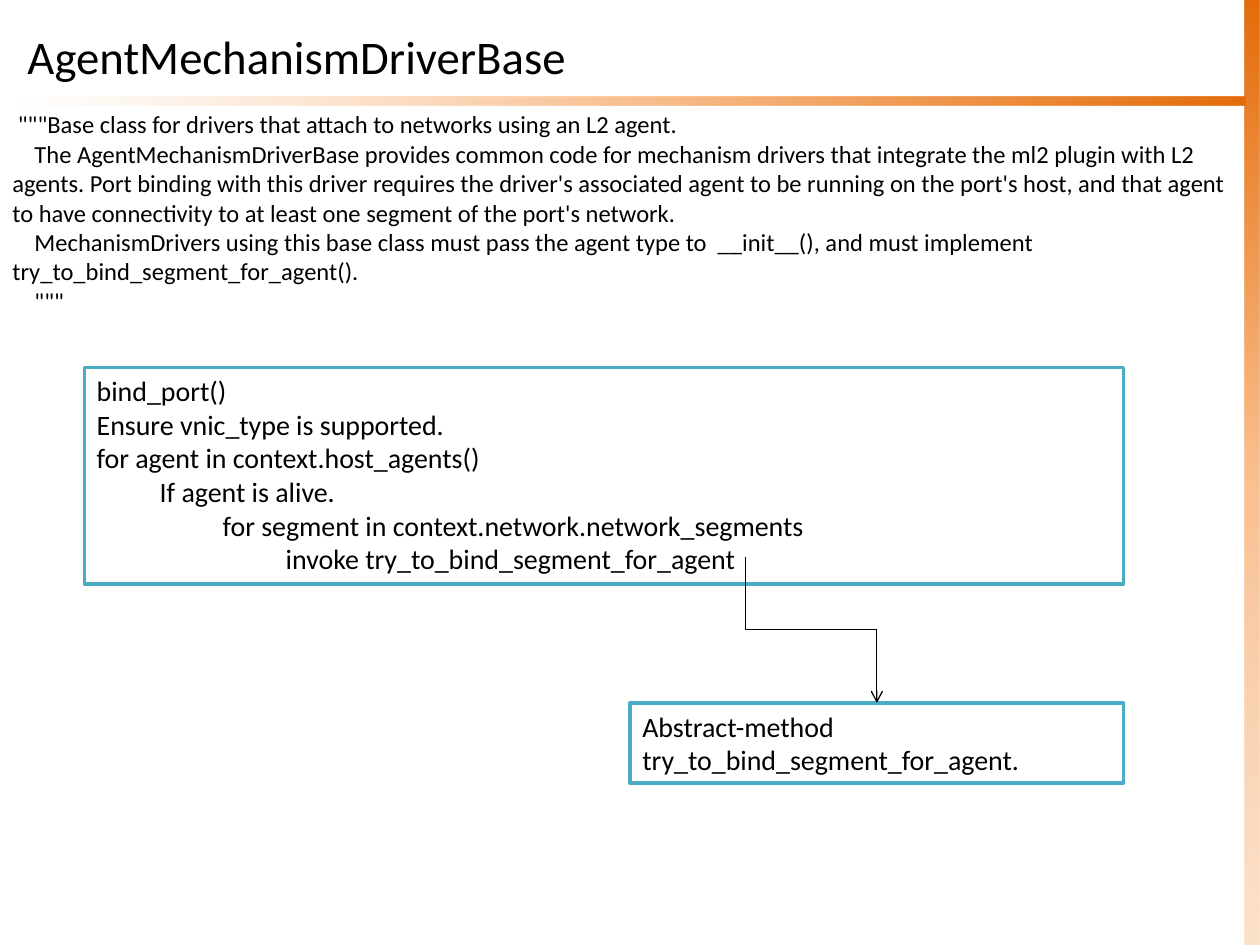
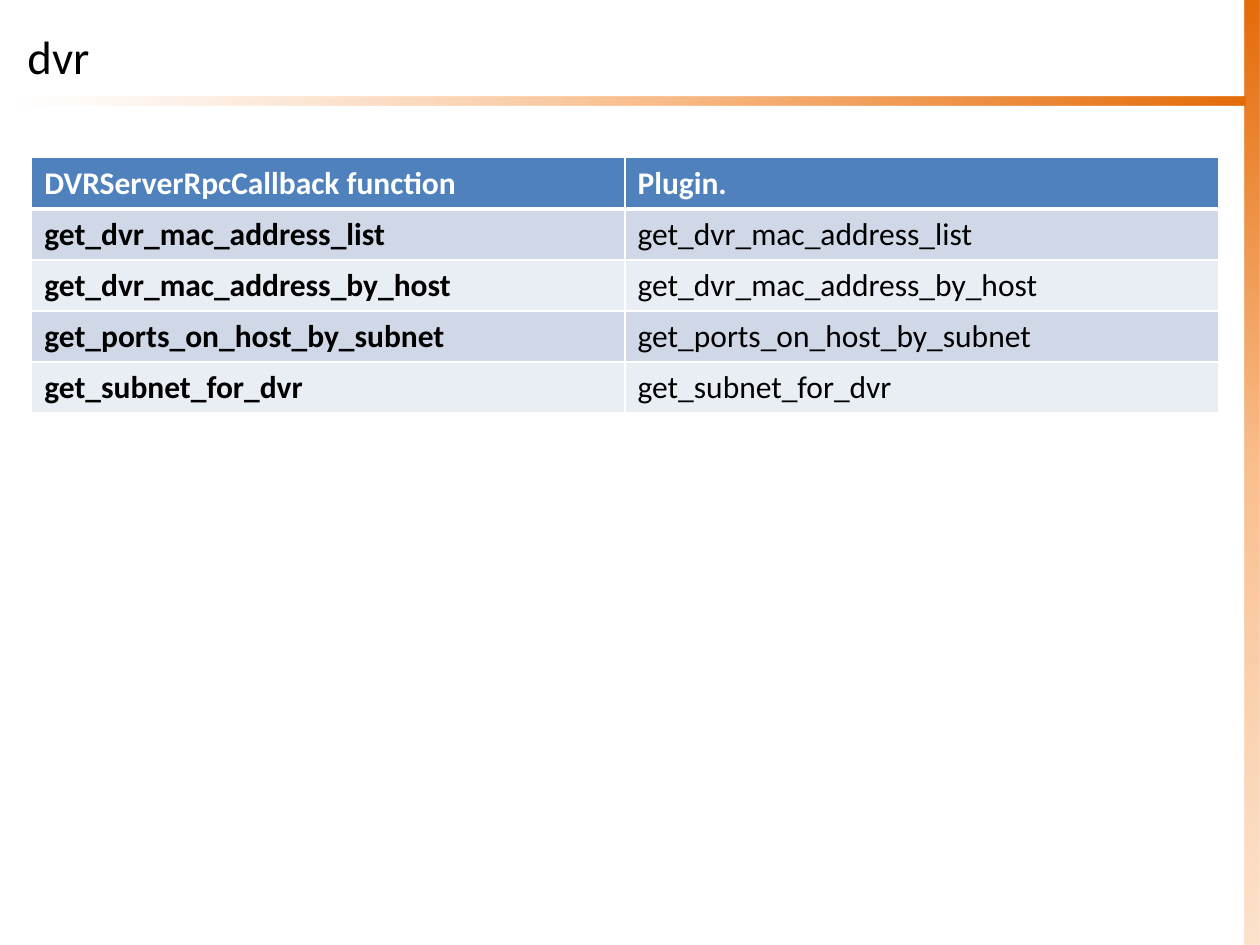
from dataclasses import dataclass

from lxml import etree
from pptx import Presentation
from pptx.dml.color import RGBColor
from pptx.enum.shapes import MSO_CONNECTOR, MSO_SHAPE
from pptx.enum.text import MSO_ANCHOR, MSO_AUTO_SIZE, PP_ALIGN
from pptx.oxml.ns import qn
from pptx.util import Cm, Pt

RECT = MSO_SHAPE.RECTANGLE
ELBOW = MSO_CONNECTOR.ELBOW
LEFT = PP_ALIGN.LEFT
TOP, MIDDLE = MSO_ANCHOR.TOP, MSO_ANCHOR.MIDDLE
GROW, FIXED = MSO_AUTO_SIZE.SHAPE_TO_FIT_TEXT, MSO_AUTO_SIZE.NONE
TITLE_ONLY = 5


@dataclass(frozen=True)
class Theme:
    font: str = "Calibri"
    ink: str = "000000"
    paper: str = "FFFFFF"
    box_line: str = "4BACC6"
    header: str = "4F81BD"
    stripes: tuple = ("D0D8E8", "E9EDF4")
    band: tuple = ("E46C0A", "FAC090", "FCD5B5")
    title_size: float = 26.7
    doc_size: int = 14
    code_size: int = 16
    table_size: int = 18


T = Theme()
SLIDE_W, SLIDE_H = 25.4, 19.05
BAND_W = 0.3

DOCSTRING = [
    ' """Base class for drivers that attach to networks using an L2 agent.',
    "    The AgentMechanismDriverBase provides common code for mechanism drivers "
    "that integrate the ml2 plugin with L2 agents. Port binding with this driver "
    "requires the driver's associated agent to be running on the port's host, and "
    "that agent to have connectivity to at least one segment of the port's network.",
    "    MechanismDrivers using this base class must pass the agent type to  "
    "__init__(), and must implement try_to_bind_segment_for_agent().",
    '    """',
]
BIND_PORT = [
    "bind_port()",
    "Ensure vnic_type is supported.",
    "for agent in context.host_agents()",
    "\tIf agent is alive.",
    "\t\tfor segment in context.network.network_segments",
    "\t\t\tinvoke try_to_bind_segment_for_agent",
]
ABSTRACT_METHOD = ["Abstract-method", "try_to_bind_segment_for_agent."]
TABLE_HEAD = ["DVRServerRpcCallback function", "Plugin."]
DVR_FUNCTIONS = [
    "get_dvr_mac_address_list",
    "get_dvr_mac_address_by_host",
    "get_ports_on_host_by_subnet",
    "get_subnet_for_dvr",
]


def rgb(value):
    return RGBColor.from_string(value)


def cm_box(box):
    return [Cm(v) for v in box]


def write(tf, lines, size, color=T.ink, bold=False):
    """Fill a text frame with one paragraph per line."""
    fmt = {"name": T.font, "size": Pt(size), "bold": bold}
    for i, line in enumerate(lines):
        p = tf.paragraphs[0] if i == 0 else tf.add_paragraph()
        p.alignment = LEFT
        r = p.add_run()
        r.text = line
        for key, value in fmt.items():
            setattr(r.font, key, value)
        r.font.color.rgb = rgb(color)


def set_frame(tf, anchor, auto_size):
    for key, value in {"word_wrap": True, "vertical_anchor": anchor,
                       "auto_size": auto_size}.items():
        setattr(tf, key, value)


# Shared parts: bands and title
def add_band(slide, box, stops, angle):
    """Borderless gradient bar; stops are (position %, colour, opacity %)."""
    sp = slide.shapes.add_shape(RECT, *cm_box(box))
    sp.shadow.inherit = False
    sp.line.fill.background()
    sp.fill.gradient()
    sp.fill.gradient_angle = angle
    gs_list = sp._element.spPr.find(qn("a:gradFill")).find(qn("a:gsLst"))
    for gs in list(gs_list):
        gs_list.remove(gs)
    for pos, color, opacity in stops:
        gs = etree.SubElement(gs_list, qn("a:gs"), pos=str(pos * 1000))
        clr = etree.SubElement(gs, qn("a:srgbClr"), val=color)
        if opacity < 100:
            etree.SubElement(clr, qn("a:alpha"), val=str(opacity * 1000))


def add_titled_slide(prs, title):
    slide = prs.slides.add_slide(prs.slide_layouts[TITLE_ONLY])
    dark, mid, pale = T.band
    inner_w = SLIDE_W - 2 * BAND_W
    add_band(slide, (SLIDE_W - BAND_W, 0, BAND_W, SLIDE_H),
             [(0, dark, 100), (50, mid, 100), (100, pale, 69)], 270)
    add_band(slide, (BAND_W, 1.95, inner_w, 0.18),
             [(0, pale, 0), (50, mid, 100), (100, dark, 100)], 0)
    sp = slide.shapes.title
    sp.left, sp.top, sp.width, sp.height = cm_box((BAND_W, 0.33, inner_w, 1.6))
    set_frame(sp.text_frame, MIDDLE, FIXED)
    write(sp.text_frame, [title], T.title_size)
    return slide


# Parts of the driver slide
def add_docstring(slide, box):
    tf = slide.shapes.add_textbox(*cm_box(box)).text_frame
    set_frame(tf, TOP, GROW)
    write(tf, DOCSTRING, T.doc_size)


def add_code_box(slide, box, lines):
    sp = slide.shapes.add_shape(RECT, *cm_box(box))
    sp.shadow.inherit = False
    sp.fill.solid()
    sp.fill.fore_color.rgb = rgb(T.paper)
    sp.line.color.rgb = rgb(T.box_line)
    sp.line.width = Pt(2)
    set_frame(sp.text_frame, TOP, GROW)
    write(sp.text_frame, lines, T.code_size)


def add_drop_arrow(slide, x1, y1, x2, y2):
    """Elbow arrow that runs down, across and down: a quarter-turned elbow."""
    cx, cy = (x1 + x2) / 2, (y1 + y2) / 2
    half_w, half_h = (y2 - y1) / 2, (x2 - x1) / 2
    cxn = slide.shapes.add_connector(ELBOW, *cm_box(
        (cx + half_w, cy - half_h, cx - half_w, cy + half_h)))
    cxn.line.color.rgb = rgb(T.ink)
    cxn.line.width = Pt(0.75)
    sp_pr = cxn._element.spPr
    sp_pr.find(qn("a:xfrm")).set("rot", str(270 * 60000))
    etree.SubElement(sp_pr.find(qn("a:ln")), qn("a:tailEnd"), type="arrow")
    etree.SubElement(sp_pr, qn("a:effectLst"))


def build_driver_slide(prs):
    slide = add_titled_slide(prs, "AgentMechanismDriverBase")
    add_docstring(slide, (0, 2.08, SLIDE_W, 4.45))
    right = 22.65
    method_x, method_y = 12.7, 14.17
    method_w = right - method_x
    add_code_box(slide, (1.7, 7.41, right - 1.7, 4.36), BIND_PORT)
    add_code_box(slide, (method_x, method_y, method_w, 1.62), ABSTRACT_METHOD)
    add_drop_arrow(slide, 15.03, 11.22, method_x + method_w / 2, method_y)


# Parts of the table slide
def set_borders(cell, widths):
    tc_pr = cell._tc.get_or_add_tcPr()
    for side, width in widths.items():
        ln = etree.SubElement(tc_pr, qn(f"a:ln{side}"), w=str(Pt(width)))
        fill = etree.SubElement(ln, qn("a:solidFill"))
        etree.SubElement(fill, qn("a:srgbClr"), val=T.paper)


def add_function_table(slide, box):
    rows = [TABLE_HEAD] + [[name, name] for name in DVR_FUNCTIONS]
    table = slide.shapes.add_table(len(rows), 2, *cm_box(box)).table
    for i, row in enumerate(rows):
        head = i == 0
        borders = {"L": 1, "R": 1, "T": 3 if i == 1 else 1, "B": 3 if head else 1}
        fill = T.header if head else T.stripes[(i - 1) % 2]
        for j, text in enumerate(row):
            cell = table.cell(i, j)
            set_borders(cell, borders)
            cell.fill.solid()
            cell.fill.fore_color.rgb = rgb(fill)
            write(cell.text_frame, [text], T.table_size,
                  T.paper if head else T.ink, bold=head or j == 0)


def build_dvr_slide(prs):
    slide = add_titled_slide(prs, "dvr")
    add_function_table(slide, (0.64, 3.18, 23.92, 5.15))


def main():
    prs = Presentation()
    prs.slide_width, prs.slide_height = Cm(SLIDE_W), Cm(SLIDE_H)
    build_driver_slide(prs)
    build_dvr_slide(prs)
    prs.save("out.pptx")


if __name__ == "__main__":
    main()
